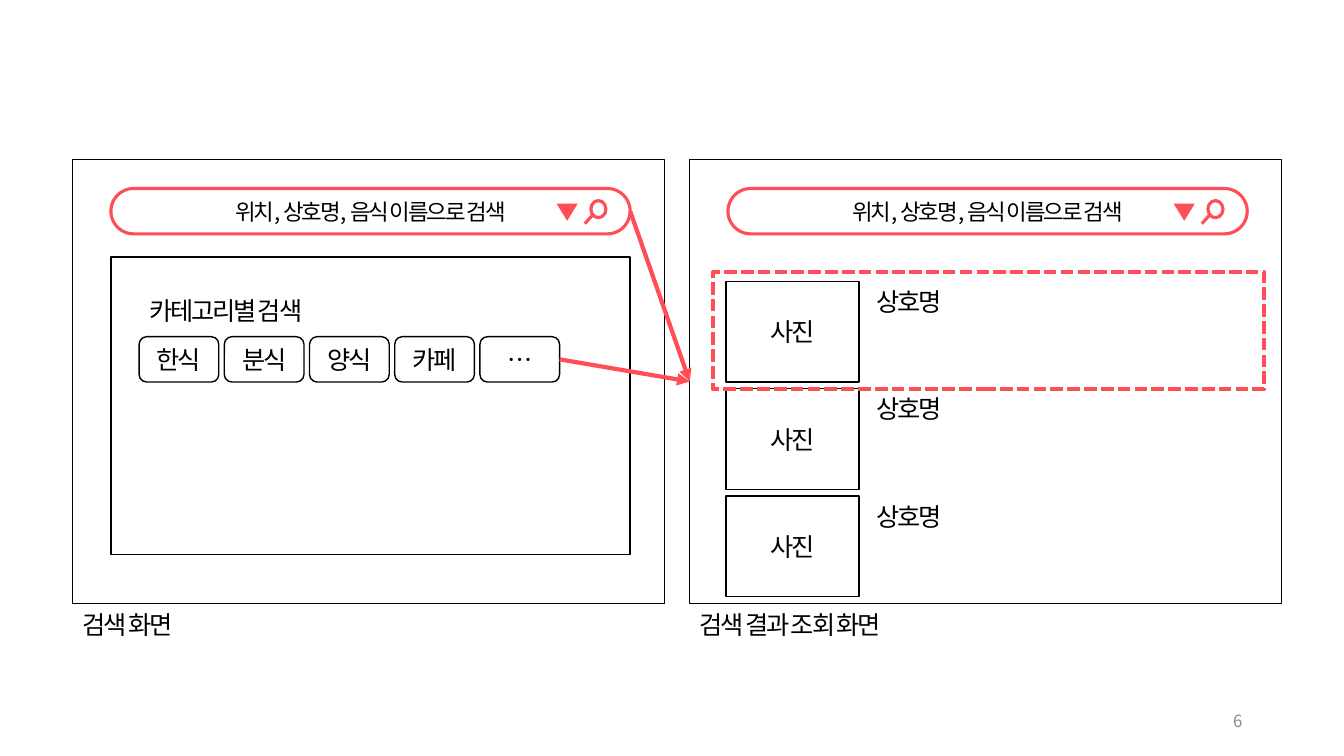
from pptx import Presentation
from pptx.dml.color import RGBColor
from pptx.enum.dml import MSO_LINE_DASH_STYLE as DASH
from pptx.enum.shapes import MSO_CONNECTOR, MSO_SHAPE as SHAPE
from pptx.enum.text import MSO_ANCHOR as ANCHOR, PP_ALIGN as ALIGN
from pptx.oxml.ns import qn
from pptx.util import Inches, Pt
from lxml.etree import SubElement

# Content
SEARCH_HINT = "위치, 상호명, 음식 이름으로 검색"
CATEGORY_TITLE = "카테고리별 검색"
CATEGORIES = ["한식", "분식", "양식", "카페", "…"]
PHOTO, SHOP_NAME = "사진", "상호명"
RESULT_COUNT = 3
CAPTIONS = ["검색 화면", "검색 결과 조회 화면"]
PAGE_NUMBER = "6"

# Style
FONT = "Noto Sans CJK KR"
BLACK, RED, GRAY = "000000", "FF4E55", "8C8C8C"

# Layout in inches
SCREEN_LEFTS, SCREEN_TOP, SCREEN_W, SCREEN_H = (0.72, 6.84), 1.58, 5.87, 4.41
BAR_INSET, BAR_TOP, BAR_W, BAR_H = 0.38, 1.87, 5.15, 0.45
BUTTON_LEFT, BUTTON_TOP, BUTTON_W, BUTTON_PITCH = 1.38, 3.34, 0.79, 0.845
PHOTO_LEFT, PHOTO_TOP, PHOTO_W, PHOTO_H, ROW_PITCH = 7.2, 2.79, 1.32, 1, 1.065
LABEL_H = 0.4

prs = Presentation()
prs.slide_width, prs.slide_height = Inches(13.33), Inches(7.5)
slide = prs.slides.add_slide(prs.slide_layouts[6])


def rgb(color):
    return RGBColor.from_string(color)


def write(s, text, size=18, color=BLACK, align=ALIGN.LEFT, anchor=ANCHOR.TOP, spacing=-150):
    tf = s.text_frame
    tf.word_wrap = True
    tf.vertical_anchor = anchor
    p = tf.paragraphs[0]
    p.text = text
    p.alignment = align
    font = p.runs[0].font
    font.size, font.name = Pt(size), FONT
    font.color.rgb = rgb(color)
    rPr = p.runs[0].font._element
    rPr.set("spc", str(spacing))
    SubElement(rPr, qn("a:ea")).set("typeface", FONT)


def label(text, x, y, w, **style):
    s = slide.shapes.add_textbox(Inches(x), Inches(y), Inches(w), Inches(LABEL_H))
    write(s, text, **style)


def box(x, y, w, h, kind=SHAPE.RECTANGLE, line=BLACK, width=1, text="", size=18):
    s = slide.shapes.add_shape(kind, Inches(x), Inches(y), Inches(w), Inches(h))
    s.shadow.inherit = False
    s.fill.background()
    s.line.color.rgb = rgb(line)
    s.line.width = Pt(width)
    if text:
        write(s, text, size, align=ALIGN.CENTER, anchor=ANCHOR.MIDDLE)
    return s


def red_line(x1, y1, x2, y2, width):
    s = slide.shapes.add_connector(
        MSO_CONNECTOR.STRAIGHT, Inches(x1), Inches(y1), Inches(x2), Inches(y2))
    s.line.color.rgb = rgb(RED)
    s.line.width = Pt(width)
    SubElement(s._element.spPr, qn("a:effectLst"))
    return s


def arrow(source, target):
    s = red_line(0, 0, 1, 1, 3)
    s.begin_connect(source, 3)
    s.end_connect(target, 1)
    SubElement(s.line._get_or_add_ln(), qn("a:tailEnd")).set("type", "triangle")


def search_bar(x):
    bar = box(x, BAR_TOP, BAR_W, BAR_H, SHAPE.ROUNDED_RECTANGLE, RED, 2.25, SEARCH_HINT, 16)
    bar.adjustments[0] = 0.5
    # Magnifier
    box(x + 4.76, BAR_TOP + 0.12, 0.15, 0.17, SHAPE.OVAL, RED, 2.25)
    red_line(x + 4.78, BAR_TOP + 0.26, x + 4.7, BAR_TOP + 0.35, 2.25)
    # Drop-down mark
    mark = box(x + 4.42, BAR_TOP + 0.15, 0.21, 0.17, SHAPE.ISOSCELES_TRIANGLE)
    mark.rotation = 180
    mark.fill.solid()
    mark.fill.fore_color.rgb = rgb(RED)
    mark.line.fill.background()
    return bar


# Screens with captions and search bars
screens, bars = [], []
for left, caption in zip(SCREEN_LEFTS, CAPTIONS):
    screens.append(box(left, SCREEN_TOP, SCREEN_W, SCREEN_H))
    label(caption, left, 6, 2.51)
    bars.append(search_bar(left + BAR_INSET))

# Category panel
box(SCREEN_LEFTS[0] + BAR_INSET, 2.55, BAR_W, 2.95)
label(CATEGORY_TITLE, BUTTON_LEFT, 2.88, 2.25)
buttons = [box(BUTTON_LEFT + i * BUTTON_PITCH, BUTTON_TOP, BUTTON_W, BAR_H,
               SHAPE.ROUNDED_RECTANGLE, text=name)
           for i, name in enumerate(CATEGORIES)]

# Result rows
for row in range(RESULT_COUNT):
    top = PHOTO_TOP + row * ROW_PITCH
    box(PHOTO_LEFT, top, PHOTO_W, PHOTO_H, text=PHOTO)
    label(SHOP_NAME, 8.59, top, 1.09)

# Highlight of the first result
highlight = box(7.07, 2.7, 5.47, 1.16, line=RED, width=3)
highlight.line.dash_style = DASH.SQUARE_DOT

# Arrows to the result screen
arrow(bars[0], screens[1])
arrow(buttons[-1], screens[1])

# Page number
label(PAGE_NUMBER, 9.42, 6.95, 3, size=12, color=GRAY, align=ALIGN.RIGHT,
      anchor=ANCHOR.MIDDLE, spacing=0)

prs.save("out.pptx")
